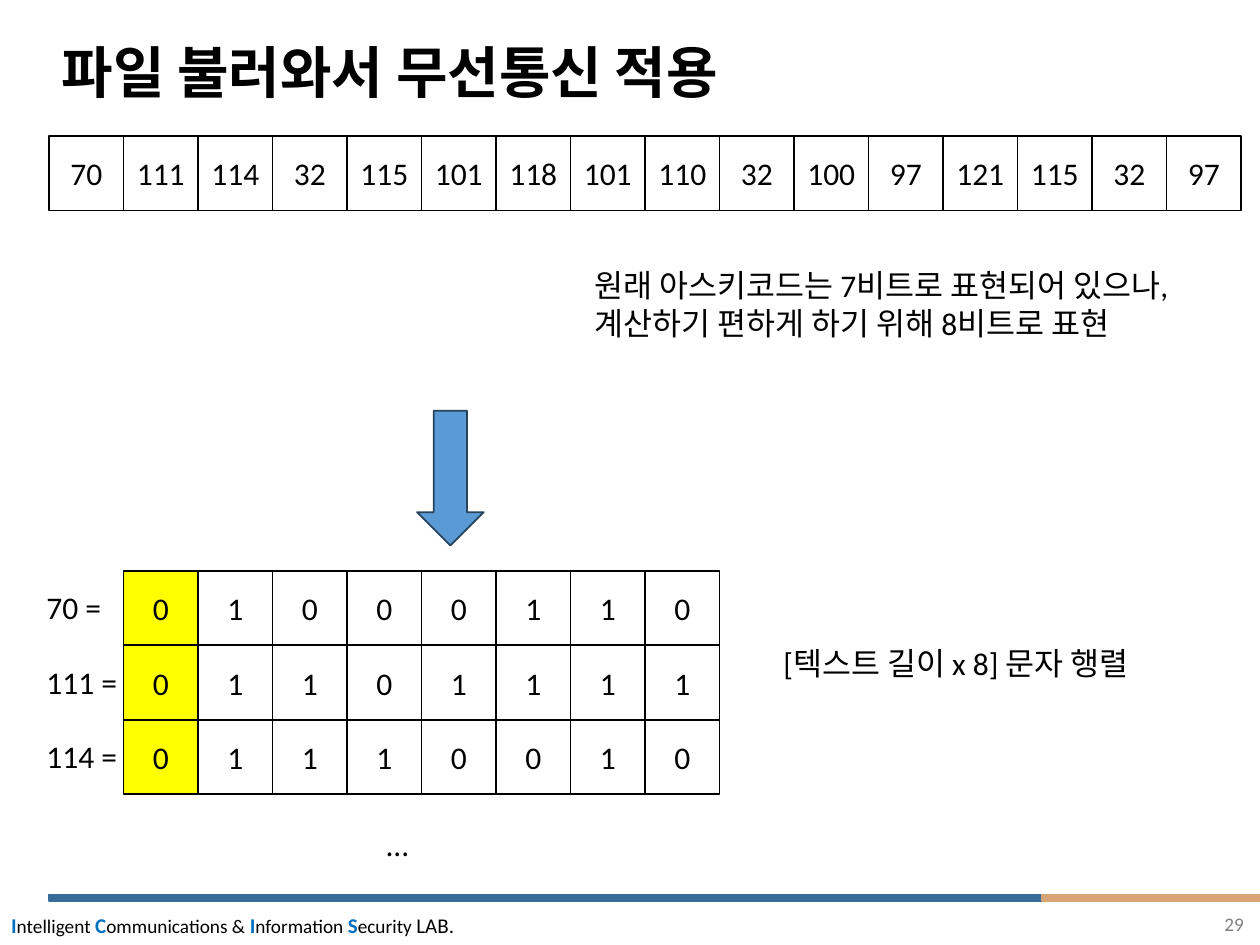
from pptx import Presentation
from pptx.dml.color import RGBColor
from pptx.enum.shapes import MSO_SHAPE
from pptx.enum.text import MSO_ANCHOR, MSO_AUTO_SIZE, PP_ALIGN
from pptx.util import Inches, Pt

RECTANGLE, DOWN_ARROW = MSO_SHAPE.RECTANGLE, MSO_SHAPE.DOWN_ARROW
TOP, MIDDLE = MSO_ANCHOR.TOP, MSO_ANCHOR.MIDDLE
LEFT, CENTER, RIGHT = PP_ALIGN.LEFT, PP_ALIGN.CENTER, PP_ALIGN.RIGHT
GROW = MSO_AUTO_SIZE.SHAPE_TO_FIT_TEXT

BLACK = RGBColor(0x00, 0x00, 0x00)
WHITE = RGBColor(0xFF, 0xFF, 0xFF)
YELLOW = RGBColor(0xFF, 0xFF, 0x00)
GRAY = RGBColor(0x80, 0x80, 0x80)
INITIAL_BLUE = RGBColor(0x00, 0x70, 0xC0)
BAR_BLUE = RGBColor(0x37, 0x6C, 0x98)
BAR_TAN = RGBColor(0xD9, 0xA5, 0x76)
ARROW_BLUE = RGBColor(0x5B, 0x9B, 0xD5)
ARROW_EDGE = RGBColor(0x28, 0x44, 0x5D)

WIDTH, HEIGHT = Inches(10), Inches(7.5)
GRID_LEFT, GRID_RIGHT = 3.9, 98.5
CODES = [70, 111, 114, 32, 115, 101, 118, 101, 110, 32, 100, 97, 121, 115, 32, 97]
COLUMN = (GRID_RIGHT - GRID_LEFT) / len(CODES)
ROW = COLUMN * WIDTH / HEIGHT
CODES_TOP, BITS_TOP, LABEL_DROP = 14.4, 60.4, 1.2
LABEL_WIDTHS = {2: 6.4, 3: 7.7}

BODY = {"name": "Calibri", "size": Pt(18), "bold": False}
TITLE = {**BODY, "size": Pt(32), "bold": True}
SMALL = {**BODY, "size": Pt(11)}
INITIAL = {**BODY, "size": Pt(12), "bold": True}
LAST_WORD = {**BODY, "size": Pt(12)}

LAB_NAME = [
    ("I", INITIAL, INITIAL_BLUE), ("ntelligent ", SMALL, BLACK),
    ("C", INITIAL, INITIAL_BLUE), ("ommunications & ", SMALL, BLACK),
    ("I", INITIAL, INITIAL_BLUE), ("nformation ", SMALL, BLACK),
    ("S", INITIAL, INITIAL_BLUE), ("ecurity ", SMALL, BLACK),
    ("LAB.", LAST_WORD, BLACK),
]


class SlidePainter:
    """Draws styled elements on one slide, placed in percent of its size."""

    def __init__(self, slide):
        self.slide = slide

    def place(self, left, top, width, height):
        return [round(share * side / 100) for share, side in
                zip((left, top, width, height), (WIDTH, HEIGHT) * 2)]

    def fill_text(self, frame, paragraphs, align=LEFT, spacing=None):
        for index, spans in enumerate(paragraphs):
            para = frame.add_paragraph() if index else frame.paragraphs[0]
            para.alignment = align
            if spacing:
                para.line_spacing = spacing
            for text, style, color in spans:
                span = para.add_run()
                span.text = text
                for name, value in style.items():
                    setattr(span.font, name, value)
                span.font.color.rgb = color

    def shape(self, kind, area, fill, edge):
        shape = self.slide.shapes.add_shape(kind, *self.place(*area))
        shape.shadow.inherit = False
        shape.fill.solid()
        shape.fill.fore_color.rgb = fill
        shape.line.color.rgb = edge
        shape.line.width = Pt(1)
        return shape

    def cell(self, top, column, row, value, fill=WHITE):
        area = (GRID_LEFT + column * COLUMN, top + row * ROW, COLUMN, ROW)
        frame = self.shape(RECTANGLE, area, fill, BLACK).text_frame
        frame.margin_left = frame.margin_right = 0
        frame.vertical_anchor = MIDDLE
        self.fill_text(frame, [[(str(value), BODY, BLACK)]], CENTER)

    def text(self, area, paragraphs, wrap=False, anchor=TOP, **layout):
        frame = self.slide.shapes.add_textbox(*self.place(*area)).text_frame
        frame.word_wrap = wrap
        frame.vertical_anchor = anchor
        if not wrap:
            frame.auto_size = GROW
        self.fill_text(frame, paragraphs, **layout)

    def note(self, area, *lines, wrap=False):
        self.text(area, [[(line, BODY, BLACK)] for line in lines], wrap)


def main():
    deck = Presentation()
    deck.slide_width, deck.slide_height = WIDTH, HEIGHT
    painter = SlidePainter(deck.slides.add_slide(deck.slide_layouts[6]))

    painter.shape(RECTANGLE, (3.9, 94.67, 79.3, 0.67), BAR_BLUE, BAR_BLUE)
    painter.shape(RECTANGLE, (82.7, 94.67, 17.3, 0.67), BAR_TAN, BAR_TAN)
    painter.text((-0.1, 95.87, 37.4, 4), [LAB_NAME])
    painter.text((3.9, 2.67, 92.1, 10.53),
                 [[("파일 불러와서 무선통신 적용", TITLE, BLACK)]],
                 wrap=True, anchor=MIDDLE, spacing=0.9)
    painter.text((77.2, 95.87, 22.5, 5.33), [[("29", SMALL, GRAY)]],
                 wrap=True, align=RIGHT)

    for column, code in enumerate(CODES):
        painter.cell(CODES_TOP, column, 0, code)

    for row, code in enumerate(CODES[:3]):
        label_top = BITS_TOP + LABEL_DROP + row * ROW
        painter.note((2.7, label_top, LABEL_WIDTHS[len(str(code))], 5.33), f"{code} =")
        for column, bit in enumerate(f"{code:08b}", start=1):
            painter.cell(BITS_TOP, column, row, bit, YELLOW if column == 1 else WHITE)

    painter.note((46.2, 27.47, 51.7, 9.47),
                 "원래 아스키코드는 7비트로 표현되어 있으나,",
                 "계산하기 편하게 하기 위해 8비트로 표현")
    painter.note((29.7, 86.67, 3.8, 5.33), "…")
    painter.note((61.2, 67.47, 38, 5.33), "[텍스트 길이 x 8] 문자 행렬", wrap=True)
    painter.shape(DOWN_ARROW, (33.1, 43.47, 5.3, 14.27), ARROW_BLUE, ARROW_EDGE)

    deck.save("out.pptx")


if __name__ == "__main__":
    main()
